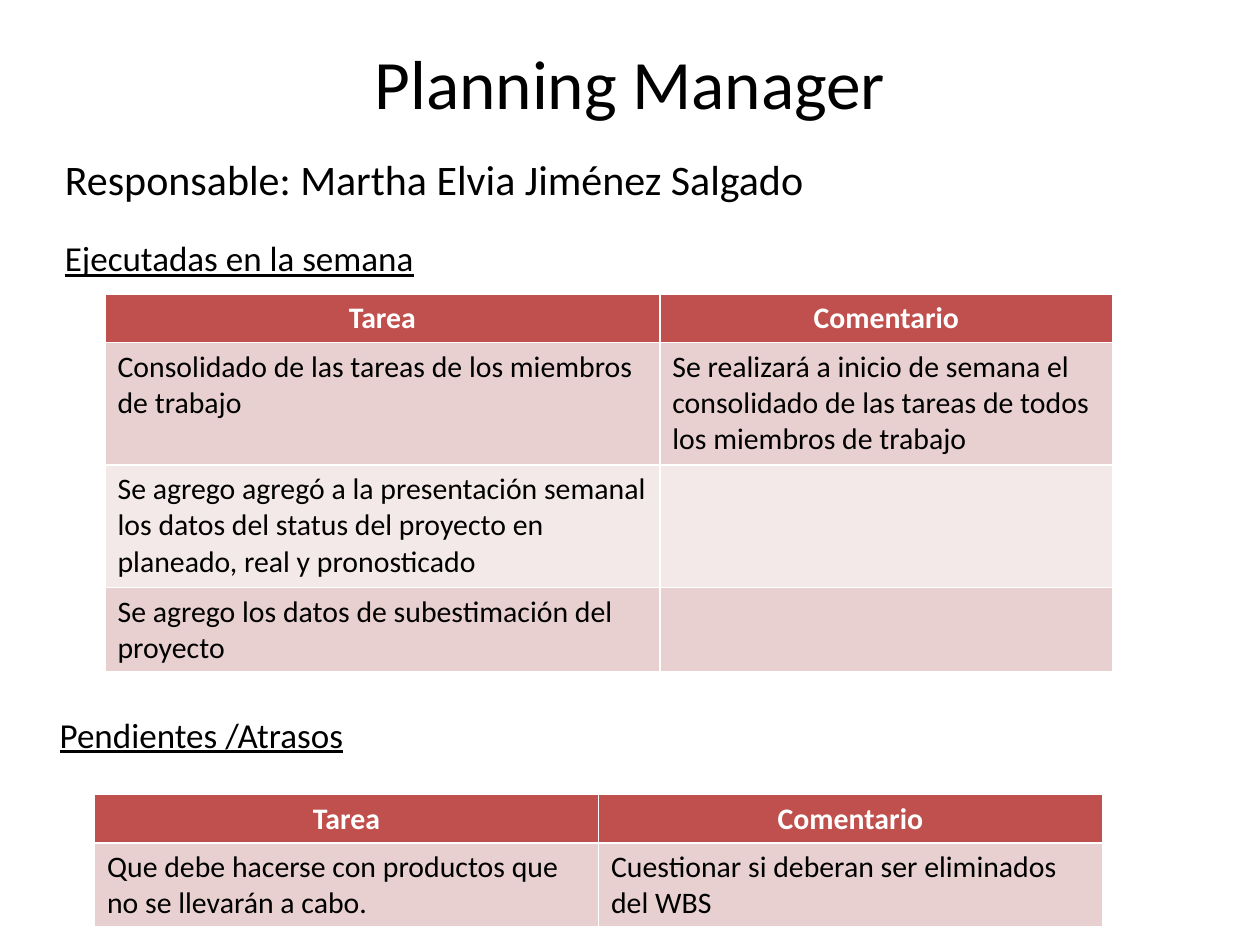
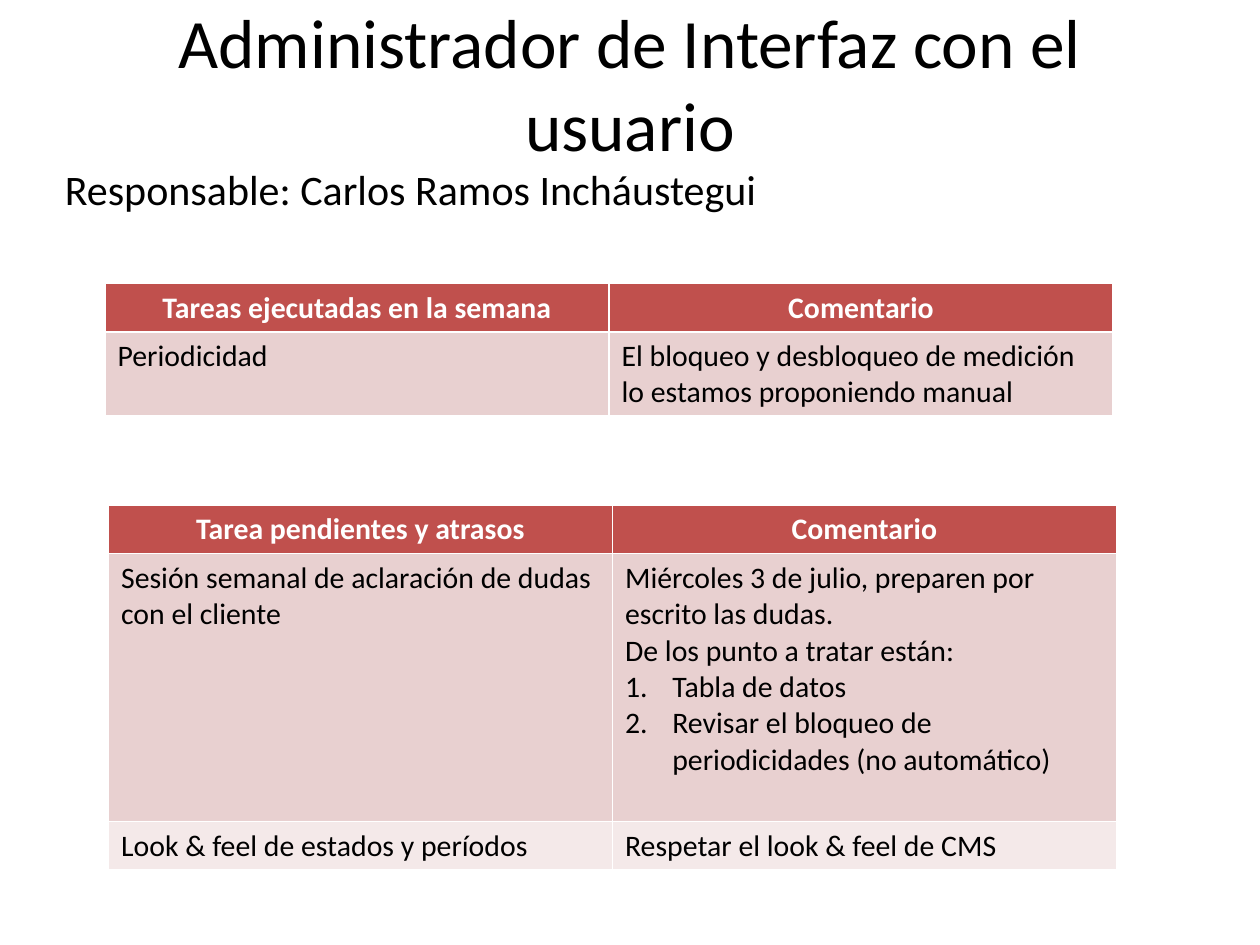
"""Build the weekly status slides of two project roles."""
from lxml.etree import SubElement
from pptx import Presentation
from pptx.dml.color import RGBColor
from pptx.enum.text import MSO_ANCHOR, MSO_AUTO_SIZE, PP_ALIGN
from pptx.oxml.ns import qn
from pptx.util import Pt

FONT = "Calibri"
BLACK = RGBColor(0x00, 0x00, 0x00)
WHITE = RGBColor(0xFF, 0xFF, 0xFF)
HEADER_RED = RGBColor(0xC0, 0x50, 0x4D)
BANDS = [RGBColor(0xF4, 0xE9, 0xE9), RGBColor(0xE8, 0xD0, 0xD0)]
NUMBERED = "# "
HEADER_HEIGHT = 27.5

ROLES = [
    {
        "title": "Planning Manager",
        "texts": [
            (30, 84, 90, [("Responsable: Martha Elvia Jiménez Salgado", 24),
                          ("Ejecutadas en la semana", 20)]),
            (27, 404, 42, [("Pendientes /Atrasos", 20)]),
        ],
        "tables": [
            (60, 168, [317, 259], [70, 70, 48], [
                ("Tarea", "Comentario"),
                ("Consolidado de las tareas de los miembros de trabajo",
                 "Se realizará a inicio de semana el consolidado de las tareas "
                 "de todos los miembros de trabajo"),
                ("Se agrego agregó a la presentación semanal los datos del "
                 "status del proyecto en planeado, real y pronosticado", ""),
                ("Se agrego los datos de subestimación del proyecto", ""),
            ]),
            (54, 454, [288, 288], [48], [
                ("Tarea", "Comentario"),
                ("Que debe hacerse con productos que no se llevarán a cabo.",
                 "Cuestionar si deberan ser eliminados del WBS"),
            ]),
        ],
    },
    {
        "title": "Administrador de Interfaz con el usuario",
        "texts": [(30, 90, 38, [("Responsable: Carlos Ramos Incháustegui", 24)])],
        "tables": [
            (60, 162, [288, 288], [48], [
                ("Tareas ejecutadas en la semana", "Comentario"),
                ("Periodicidad",
                 "El bloqueo y desbloqueo de medición lo estamos proponiendo manual"),
            ]),
            (62, 288.7, [288, 288], [153, 27.5], [
                ("Tarea pendientes y atrasos", "Comentario"),
                ("Sesión semanal de aclaración de dudas con el cliente",
                 "Miércoles 3 de julio, preparen por escrito las dudas.\n"
                 "De los punto a tratar están:\n"
                 "# Tabla de datos\n"
                 "# Revisar el bloqueo de periodicidades (no automático)"),
                ("Look & feel de estados y períodos",
                 "Respetar el look & feel de CMS"),
            ]),
        ],
    },
]


def write(paragraph, text, size, color=BLACK, bold=False, underline=False):
    paragraph.text = text
    font = paragraph.font
    font.name, font.size, font.bold, font.underline = FONT, Pt(size), bold, underline
    font.color.rgb = color


def fill_cell(cell, text, row):
    is_header = row == 0
    cell.fill.solid()
    cell.fill.fore_color.rgb = HEADER_RED if is_header else BANDS[row % 2]
    for index, line in enumerate(text.splitlines()):
        frame = cell.text_frame
        paragraph = frame.add_paragraph() if index else frame.paragraphs[0]
        if line.startswith(NUMBERED):
            properties = paragraph._p.get_or_add_pPr()
            properties.set("marL", str(Pt(27)))
            properties.set("indent", str(Pt(-27)))
            SubElement(properties, qn("a:buFont"), typeface="+mj-lt")
            SubElement(properties, qn("a:buAutoNum"), type="arabicPeriod")
        write(paragraph, line.removeprefix(NUMBERED), 17,
              WHITE if is_header else BLACK, bold=is_header)
        paragraph.alignment = PP_ALIGN.CENTER if is_header else PP_ALIGN.LEFT


deck = Presentation()
deck.slide_width, deck.slide_height = Pt(720), Pt(540)

for role in ROLES:
    slide = deck.slides.add_slide(deck.slide_layouts[5])
    title = slide.shapes.title
    title.left, title.top, title.width, title.height = Pt(36), Pt(21.6), Pt(648), Pt(50.4)
    title.text_frame.auto_size = MSO_AUTO_SIZE.NONE
    title.text_frame.vertical_anchor = MSO_ANCHOR.MIDDLE
    heading = title.text_frame.paragraphs[0]
    write(heading, role["title"], 39.6)
    heading.alignment = PP_ALIGN.CENTER

    for left, top, height, lines in role["texts"]:
        frame = slide.shapes.add_textbox(Pt(left), Pt(top), Pt(672), Pt(height)).text_frame
        frame.word_wrap = True
        for index, (line, size) in enumerate(lines):
            paragraph = frame.add_paragraph() if index else frame.paragraphs[0]
            write(paragraph, line, size, underline=size == 20)
            if index:
                paragraph.space_before = Pt(19)

    for left, top, widths, body_heights, rows in role["tables"]:
        heights = [HEADER_HEIGHT, *body_heights]
        tasks = slide.shapes.add_table(len(rows), len(widths), Pt(left), Pt(top),
                                       Pt(sum(widths)), Pt(sum(heights))).table
        for column, width in zip(tasks.columns, widths):
            column.width = Pt(width)
        for number, (texts, height) in enumerate(zip(rows, heights)):
            tasks.rows[number].height = Pt(height)
            for column, text in enumerate(texts):
                fill_cell(tasks.cell(number, column), text, number)

deck.save("out.pptx")
